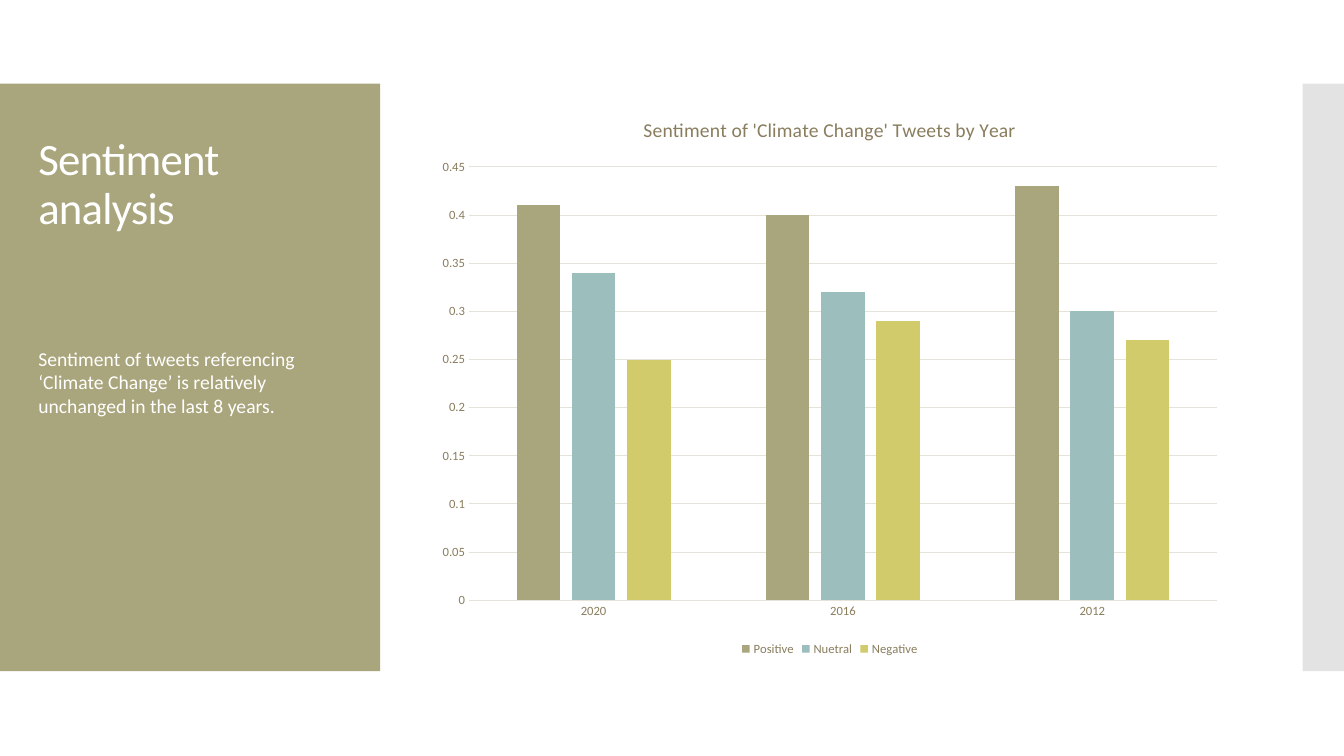
from lxml import etree
from pptx import Presentation
from pptx.chart.data import CategoryChartData
from pptx.dml.color import RGBColor
from pptx.enum.chart import XL_CHART_TYPE, XL_LEGEND_POSITION, XL_TICK_MARK
from pptx.enum.shapes import MSO_SHAPE
from pptx.enum.text import MSO_ANCHOR, MSO_AUTO_SIZE, PP_ALIGN
from pptx.oxml.ns import qn
from pptx.util import Inches, Pt

RECT = MSO_SHAPE.RECTANGLE
COLUMN = XL_CHART_TYPE.COLUMN_CLUSTERED
BELOW = XL_LEGEND_POSITION.BOTTOM
NO_TICK = XL_TICK_MARK.NONE
TOP, LOW = MSO_ANCHOR.TOP, MSO_ANCHOR.BOTTOM
NO_FIT = MSO_AUTO_SIZE.NONE
LEFT = PP_ALIGN.LEFT

HUES = {
    "olive": "A9A57C",
    "teal": "9CBEBD",
    "lime": "D2CB6C",
    "gray": "C8C8C8",
    "white": "FFFFFF",
    "ink": "2F2B20",
    "label": "897D5D",
    "grid": "E5E2D9",
}
PANELS = [
    ((0, 0.83, 3.77, 5.83), "olive", 100),
    ((12.92, 0.83, 0.42, 5.83), "gray", 50),
]
TITLE = "Sentiment analysis"
BODY = (
    "Sentiment of tweets referencing ‘Climate Change’ is relatively "
    "unchanged in the last 8 years."
)
TEXTS = [
    (0, TITLE, (0.28, 1.25, 3.1, 1.12), LOW, 32, 0.9),
    (2, BODY, (0.28, 3.39, 3.1, 2.97), TOP, 14, 1.0),
]
HEAD = "Sentiment of 'Climate Change' Tweets by Year"
YEARS = ["2020", "2016", "2012"]
SERIES = [
    ("Positive", (0.41, 0.4, 0.43), "olive"),
    ("Nuetral", (0.34, 0.32, 0.3), "teal"),
    ("Negative", (0.25, 0.29, 0.27), "lime"),
]
PLACE = (4.23, 0.95, 8, 5.6)


def hue(name):
    return RGBColor.from_string(HUES[name])


def inches(box):
    return [Inches(n) for n in box]


def style(font, size, color):
    look = {"name": "Calibri", "size": Pt(size), "bold": False}
    for key, value in look.items():
        setattr(font, key, value)
    font.color.rgb = hue(color)


def rule(line):
    line.color.rgb = hue("grid")
    line.width = Pt(0.75)


def add_panel(slide, box, color, alpha):
    panel = slide.shapes.add_shape(RECT, *inches(box))
    panel.shadow.inherit = False
    panel.fill.solid()
    panel.fill.fore_color.rgb = hue(color)
    panel.line.fill.background()
    if alpha < 100:
        tint = panel.fill._xPr.find(".//" + qn("a:srgbClr"))
        etree.SubElement(tint, qn("a:alpha"), val=str(alpha * 1000))


def fill_text(holder, text, box, anchor, size, space):
    holder.left, holder.top, holder.width, holder.height = inches(box)
    frame = holder.text_frame
    frame.text = text
    look = {"word_wrap": True, "auto_size": NO_FIT, "vertical_anchor": anchor}
    for key, value in look.items():
        setattr(frame, key, value)
    para = frame.paragraphs[0]
    look = {"alignment": LEFT, "line_spacing": space, "space_before": Pt(0)}
    for key, value in look.items():
        setattr(para, key, value)
    style(para.runs[0].font, size, "white")


def add_chart(slide):
    data = CategoryChartData()
    data.categories = YEARS
    for name, values, _ in SERIES:
        data.add_series(name, values)
    chart = slide.shapes.add_chart(COLUMN, *inches(PLACE), data).chart
    style(chart.font, 10, "ink")

    chart.has_title = True
    frame = chart.chart_title.text_frame
    frame.text = HEAD
    style(frame.paragraphs[0].runs[0].font, 14, "label")

    chart.has_legend = True
    chart.legend.position = BELOW
    chart.legend.include_in_layout = False
    style(chart.legend.font, 9, "label")

    years, scale = chart.category_axis, chart.value_axis
    for axis in (years, scale):
        axis.major_tick_mark = axis.minor_tick_mark = NO_TICK
        style(axis.tick_labels.font, 9, "label")
    rule(years.format.line)
    rule(scale.major_gridlines.format.line)
    scale.format.line.fill.background()
    limits = {"minimum_scale": 0, "maximum_scale": 0.45, "major_unit": 0.05}
    for key, value in limits.items():
        setattr(scale, key, value)

    plot = chart.plots[0]
    look = {"gap_width": 219, "overlap": -27, "vary_by_categories": False}
    for key, value in look.items():
        setattr(plot, key, value)
    for bars, (_, _, color) in zip(plot.series, SERIES):
        bars.format.fill.solid()
        bars.format.fill.fore_color.rgb = hue(color)


def main():
    deck = Presentation()
    deck.slide_width, deck.slide_height = Inches(13.33), Inches(7.5)
    slide = deck.slides.add_slide(deck.slide_layouts[7])
    holders = {h.placeholder_format.idx: h for h in slide.placeholders}
    spare = holders[1].element
    spare.getparent().remove(spare)

    for panel in PANELS:
        add_panel(slide, *panel)
    for idx, *text in TEXTS:
        holder = holders[idx]
        slide.shapes._spTree.append(holder.element)
        fill_text(holder, *text)
    run = holders[0].text_frame.paragraphs[0].runs[0]
    run.font._element.set("spc", "-60")
    add_chart(slide)
    deck.save("out.pptx")


if __name__ == "__main__":
    main()
